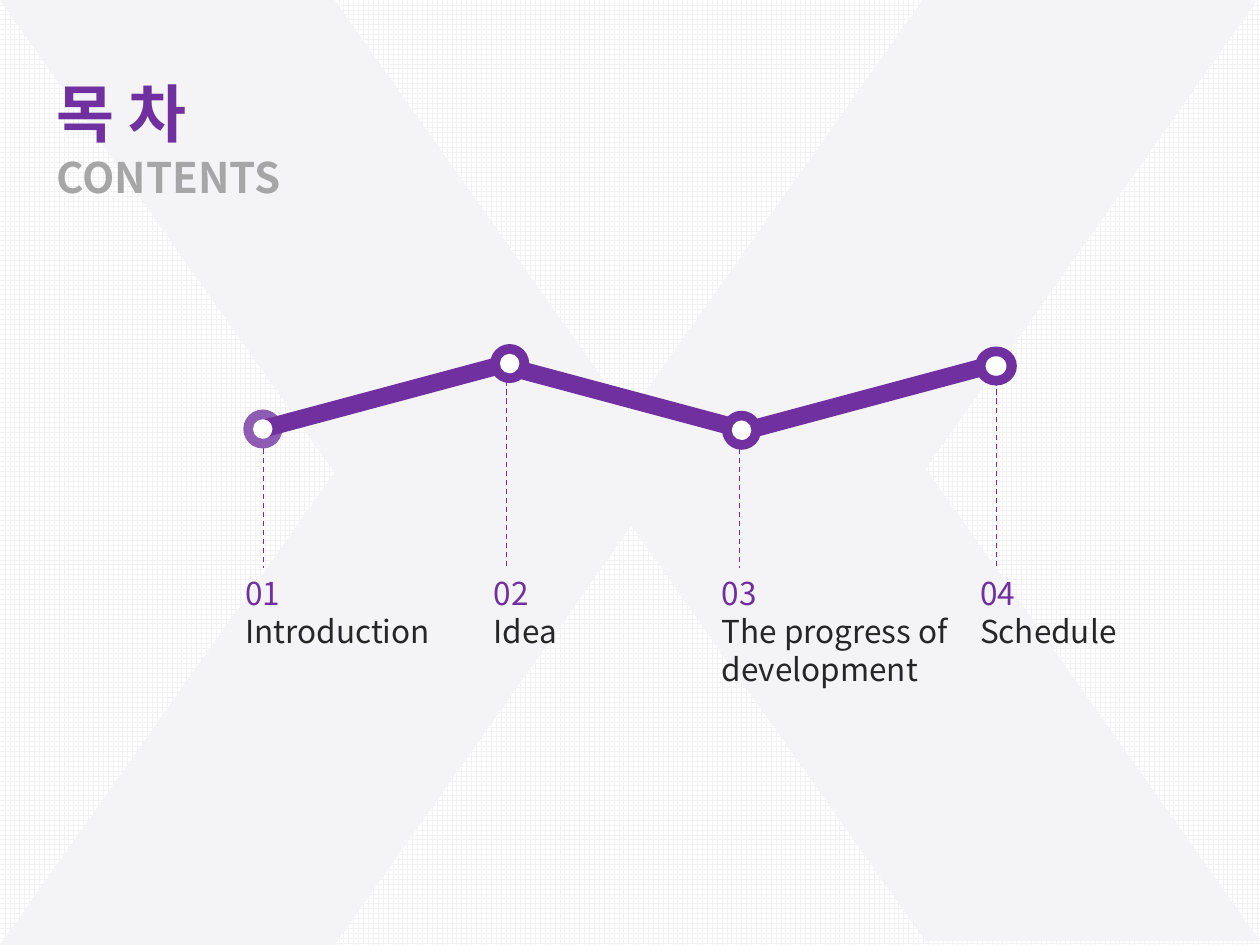
"""Build the contents slide: four numbered stops along a zigzag route."""
from dataclasses import dataclass

from lxml.etree import SubElement
from pptx import Presentation
from pptx.dml.color import RGBColor
from pptx.enum.dml import MSO_LINE, MSO_PATTERN
from pptx.enum.shapes import MSO_CONNECTOR, MSO_SHAPE
from pptx.enum.text import MSO_AUTO_SIZE
from pptx.oxml.ns import qn
from pptx.util import Pt


@dataclass(frozen=True)
class Theme:
    font: str = "Noto Sans CJK KR"
    purple: RGBColor = RGBColor(0x70, 0x30, 0xA0)
    white: RGBColor = RGBColor(0xFF, 0xFF, 0xFF)
    grid: RGBColor = RGBColor(0xF2, 0xF2, 0xF2)
    backdrop: RGBColor = RGBColor(0xF4, 0xF3, 0xF6)
    ink: RGBColor = RGBColor(0x26, 0x26, 0x26)
    grey: RGBColor = RGBColor(0xA6, 0xA6, 0xA6)
    title: int = 36
    subtitle: int = 24
    label: int = 18


theme = Theme()
deck = Presentation()
deck.slide_width, deck.slide_height = Pt(720), Pt(540)
slide = deck.slides.add_slide(deck.slide_layouts[6])

paper = slide.background.fill
paper.patterned()
for part, value in {"pattern": MSO_PATTERN.LARGE_GRID}.items():
    setattr(paper, part, value)
paper.fore_color.rgb = theme.grid
paper.back_color.rgb = theme.white


def add_solid(preset, box, color, rotation=0):
    solid = slide.shapes.add_shape(preset, *map(Pt, box))
    solid.fill.solid()
    solid.fill.fore_color.rgb = color
    solid.line.fill.background()
    solid.shadow.inherit = False
    solid.rotation = rotation
    return solid


def add_text(box, lines, size, bold=False):
    frame = slide.shapes.add_textbox(*map(Pt, box)).text_frame
    frame.word_wrap = True
    frame.auto_size = MSO_AUTO_SIZE.SHAPE_TO_FIT_TEXT
    for index, (words, color) in enumerate(lines):
        paragraph = frame.paragraphs[0] if index == 0 else frame.add_paragraph()
        run = paragraph.add_run()
        run.text = words
        for attribute, value in {"name": theme.font, "size": Pt(size), "bold": bold}.items():
            setattr(run.font, attribute, value)
        run.font.color.rgb = color
        SubElement(run.font._element, qn("a:ea"), typeface=theme.font)


for left, top, rotation in [(0, 0, 0), (337.7, -2.2, 180)]:
    add_solid(MSO_SHAPE.CHEVRON, (left, top, 382.3, 540), theme.backdrop, rotation)

label_top = 324.7
for x, start in [(150.5, 256.3), (289.4, 217.4), (422.6, 256.3), (569.5, 217.4)]:
    guide = slide.shapes.add_connector(
        MSO_CONNECTOR.STRAIGHT, Pt(x), Pt(start), Pt(x), Pt(label_top))
    for attribute, value in {"width": Pt(0.75), "dash_style": MSO_LINE.DASH}.items():
        setattr(guide.line, attribute, value)
    guide.line.color.rgb = theme.purple
    SubElement(guide._element.spPr, qn("a:effectLst"))

for left, top, length, rotation in [
    (150.5, 221, 141.8, 345),
    (286.6, 222.5, 141.8, 15),
    (421.2, 222.5, 149, 345),
]:
    add_solid(MSO_SHAPE.RECTANGLE, (left, top, length, 10.1), theme.purple, rotation)

stops = [
    ((139, 234, 22.3, 22.3), 133.2, 124.6, 51.1, "Introduction", 78),
    ((280.1, 196.6, 22.3, 22.3), 275, 124.6, 51.1, "Idea", 100),
    ((412.6, 234.7, 22.3, 22.3), 405.4, 150.5, 72.7, "The progress of development", 100),
    ((557.3, 198, 23.8, 22.3), 553, 124.6, 51.1, "Schedule", 100),
]
for number, (ring, label_left, label_width, label_height, topic, opacity) in enumerate(stops, 1):
    left, top, width, height = ring
    hub = add_solid(MSO_SHAPE.OVAL, ring, theme.purple)
    if opacity < 100:
        tint = hub.fill._xPr.find(".//" + qn("a:srgbClr"))
        SubElement(tint, qn("a:alpha"), val=str(opacity * 1000))
    hole = (left + width / 4, top + height / 4, width / 2, height / 2)
    add_solid(MSO_SHAPE.OVAL, hole, theme.white)
    add_text((label_left, label_top, label_width, label_height),
             [(f"{number:02}", theme.purple), (topic, theme.ink)], theme.label)

add_text((25.2, 38.9, 544.3, 51.1), [("목 차", theme.purple)], theme.title, True)
add_text((25.2, 82.8, 544.3, 36), [("CONTENTS", theme.grey)], theme.subtitle, True)

deck.save("out.pptx")
